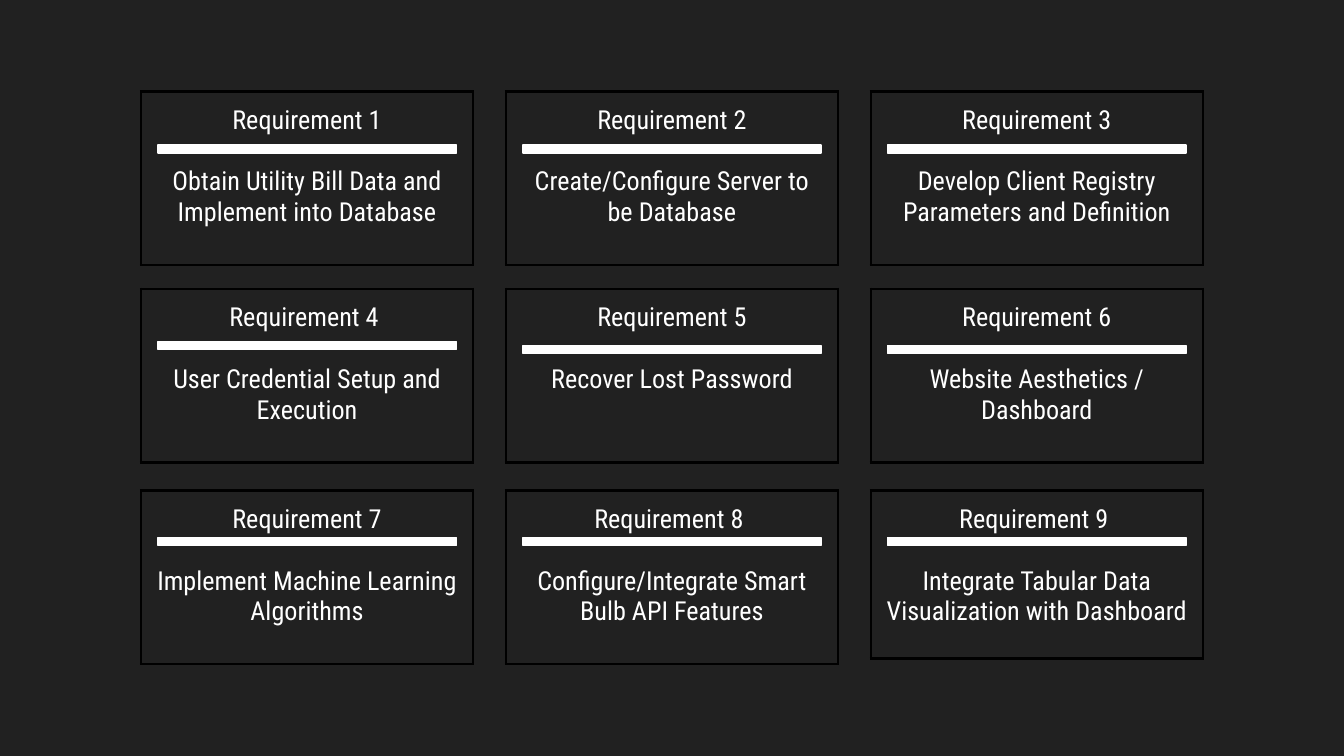
from dataclasses import dataclass

from lxml import etree
from pptx import Presentation
from pptx import util as u
from pptx.dml.color import RGBColor
from pptx.enum import shapes, text
from pptx.oxml.ns import qn

BACKGROUND = RGBColor(0x21, 0x21, 0x21)
WHITE = RGBColor(0xFF, 0xFF, 0xFF)
BORDER = RGBColor(0, 0, 0)
FONT = "Roboto Condensed"

# 16:9 slide and its grid, in inches
SLIDE_W = 10
SLIDE_H = SLIDE_W * 9 / 16
LEFT, LAST_LEFT = 1.05, 6.48
COLUMN_PITCH = (LAST_LEFT - LEFT) / 2
ROW_TOPS = (0.68, 2.15, 3.65)
CARD_W, CARD_H = 2.47, 1.29
RULE_W, RULE_H = 2.22, 0.06
RULE_INSET = (CARD_W - RULE_W) / 2


@dataclass
class Card:
    title: str
    body: str
    rule_top: float
    height: float = CARD_H


CARDS = [
    Card("Requirement 1", "Obtain Utility Bill Data and Implement into Database", 1.08),
    Card("Requirement 2", "Create/Configure Server to be Database", 1.08),
    Card("Requirement 3", "Develop Client Registry Parameters and Definition", 1.08),
    Card("Requirement 4 ", "User Credential Setup and Execution", 2.54),
    Card("Requirement 5", "Recover Lost Password", 2.57),
    Card("Requirement 6", "Website Aesthetics / Dashboard", 2.57),
    Card("Requirement 7", "Implement Machine Learning Algorithms", 4),
    Card("Requirement 8 ", "Configure/Integrate Smart Bulb API Features", 4),
    Card("Requirement 9 ", "Integrate Tabular Data Visualization with Dashboard", 4, 1.25),
]


def add_borders(cell, color: RGBColor, width: float) -> None:
    """Outline a cell; border elements go ahead of its fill."""
    tc_pr = cell._tc.get_or_add_tcPr()
    for i, side in enumerate(("lnL", "lnR", "lnT", "lnB")):
        ln = etree.Element(qn(f"a:{side}"), w=str(u.Pt(width)))
        fill = etree.SubElement(ln, qn("a:solidFill"))
        etree.SubElement(fill, qn("a:srgbClr"), val=str(color))
        tc_pr.insert(i, ln)


def add_card(s, card: Card, x: float, y: float) -> None:
    """One-cell table with a title and a description."""
    table = s.shapes.add_table(1, 1, u.Inches(x), u.Inches(y),
                               u.Inches(CARD_W), u.Inches(card.height)).table
    table.first_row = table.horz_banding = False
    cell = table.cell(0, 0)
    cell.fill.background()
    add_borders(cell, BORDER, 1.5)
    cell.margin_left = cell.margin_right = u.Inches(0.1)
    cell.margin_top = cell.margin_bottom = u.Inches(0.1)
    tf = cell.text_frame
    tf.text = f"{card.title}\n{card.body}"
    for p in tf.paragraphs:
        p.alignment = text.PP_ALIGN.CENTER
        p.font.name, p.font.size = FONT, u.Pt(14)
        p.font.color.rgb = WHITE
    tf.paragraphs[1].space_before = u.Pt(16.5)


def add_rule(s, x: float, y: float) -> None:
    """White bar under a title."""
    sp = s.shapes.add_shape(shapes.MSO_SHAPE.RECTANGLE, u.Inches(x), u.Inches(y),
                            u.Inches(RULE_W), u.Inches(RULE_H))
    sp.shadow.inherit = False
    sp.fill.solid()
    sp.fill.fore_color.rgb = sp.line.color.rgb = WHITE
    sp.line.width = u.Pt(0.75)


def main() -> None:
    prs = Presentation()
    prs.slide_width, prs.slide_height = u.Inches(SLIDE_W), u.Inches(SLIDE_H)
    s = prs.slides.add_slide(prs.slide_layouts[6])
    s.background.fill.solid()
    s.background.fill.fore_color.rgb = BACKGROUND

    # Cards, three to a row
    lefts = [LEFT + i % 3 * COLUMN_PITCH for i in range(len(CARDS))]
    for i, (card, x) in enumerate(zip(CARDS, lefts)):
        add_card(s, card, x, ROW_TOPS[i // 3])

    # Rules, in front of the cards
    for card, x in zip(CARDS, lefts):
        add_rule(s, x + RULE_INSET, card.rule_top)

    prs.save("out.pptx")


if __name__ == "__main__":
    main()
